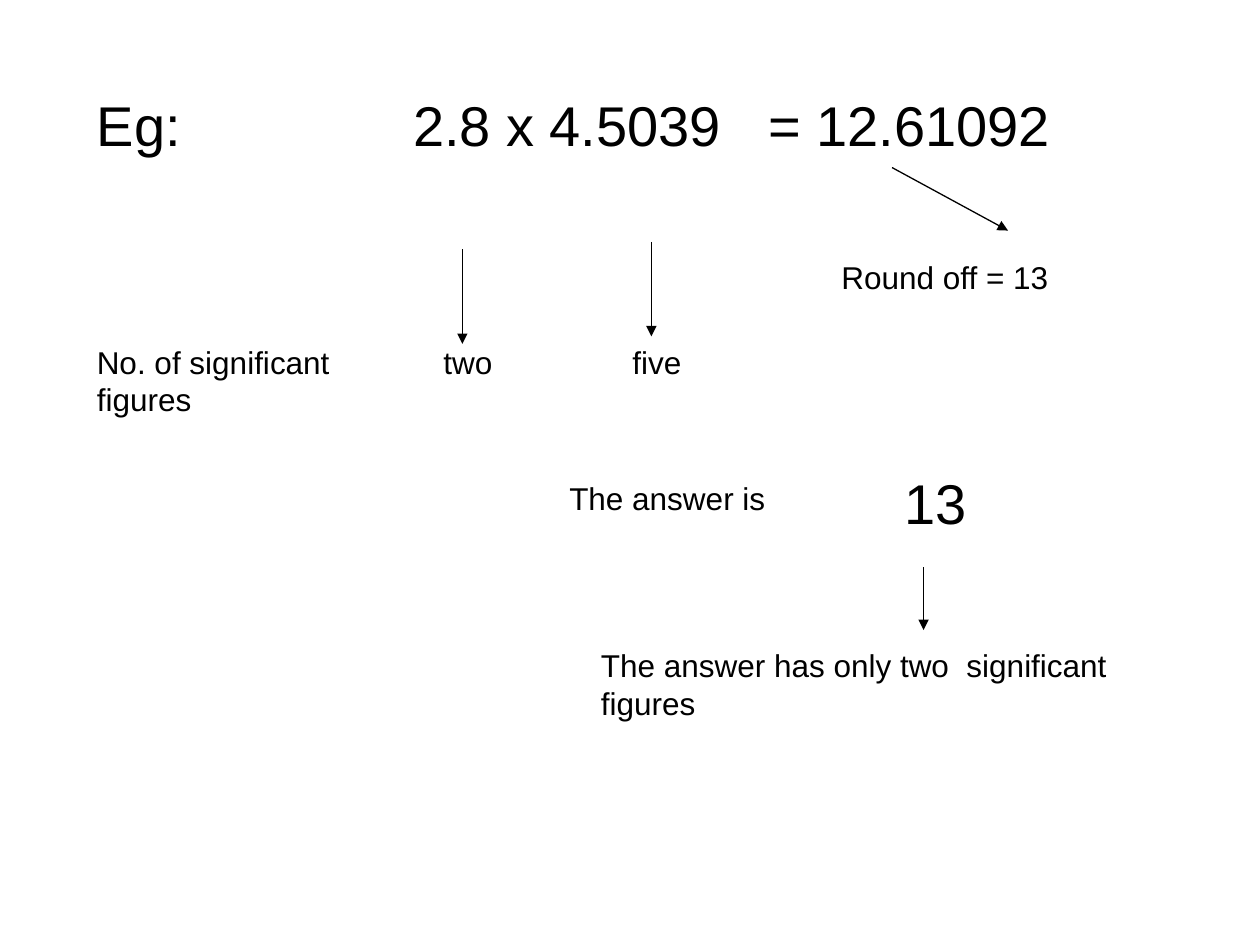
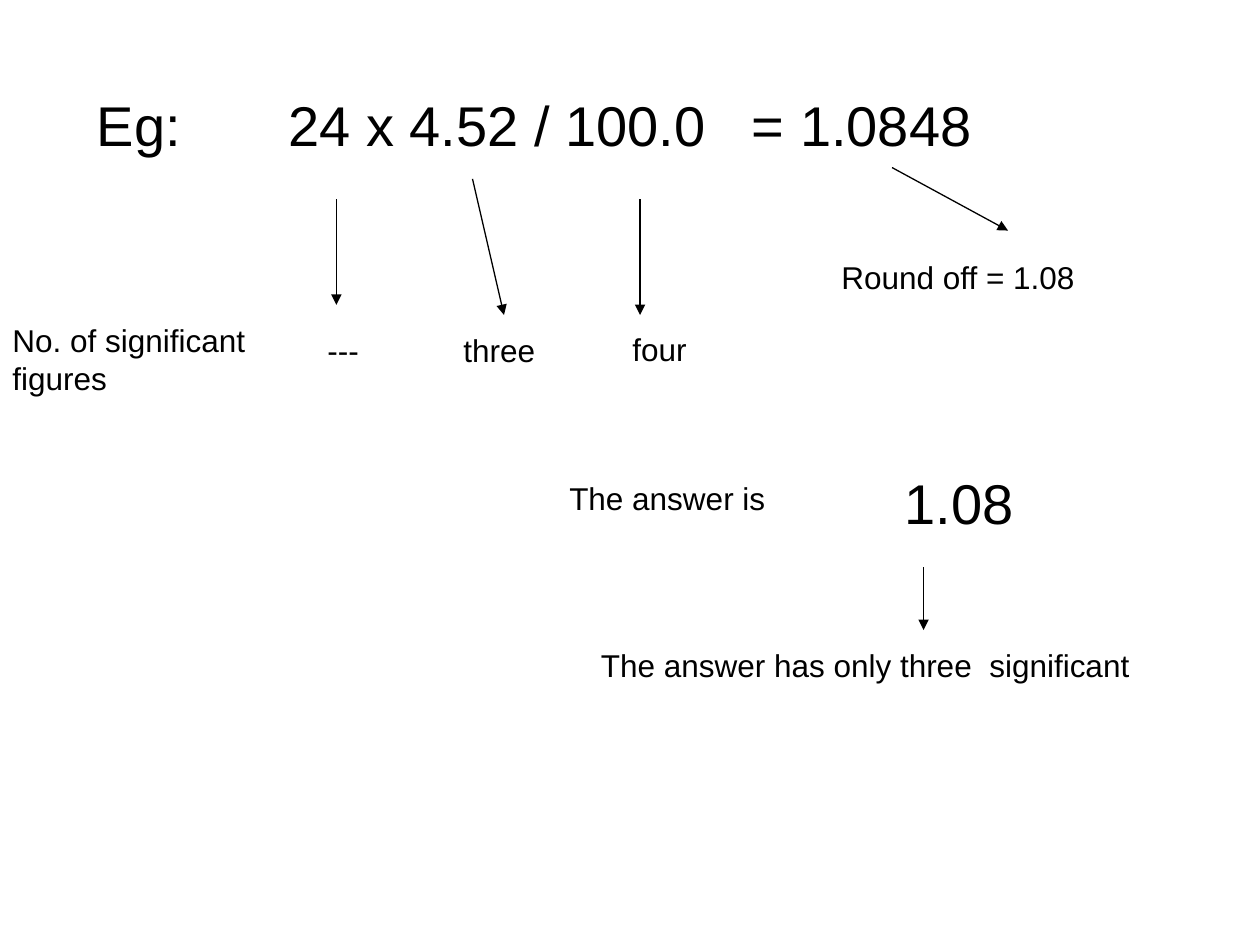
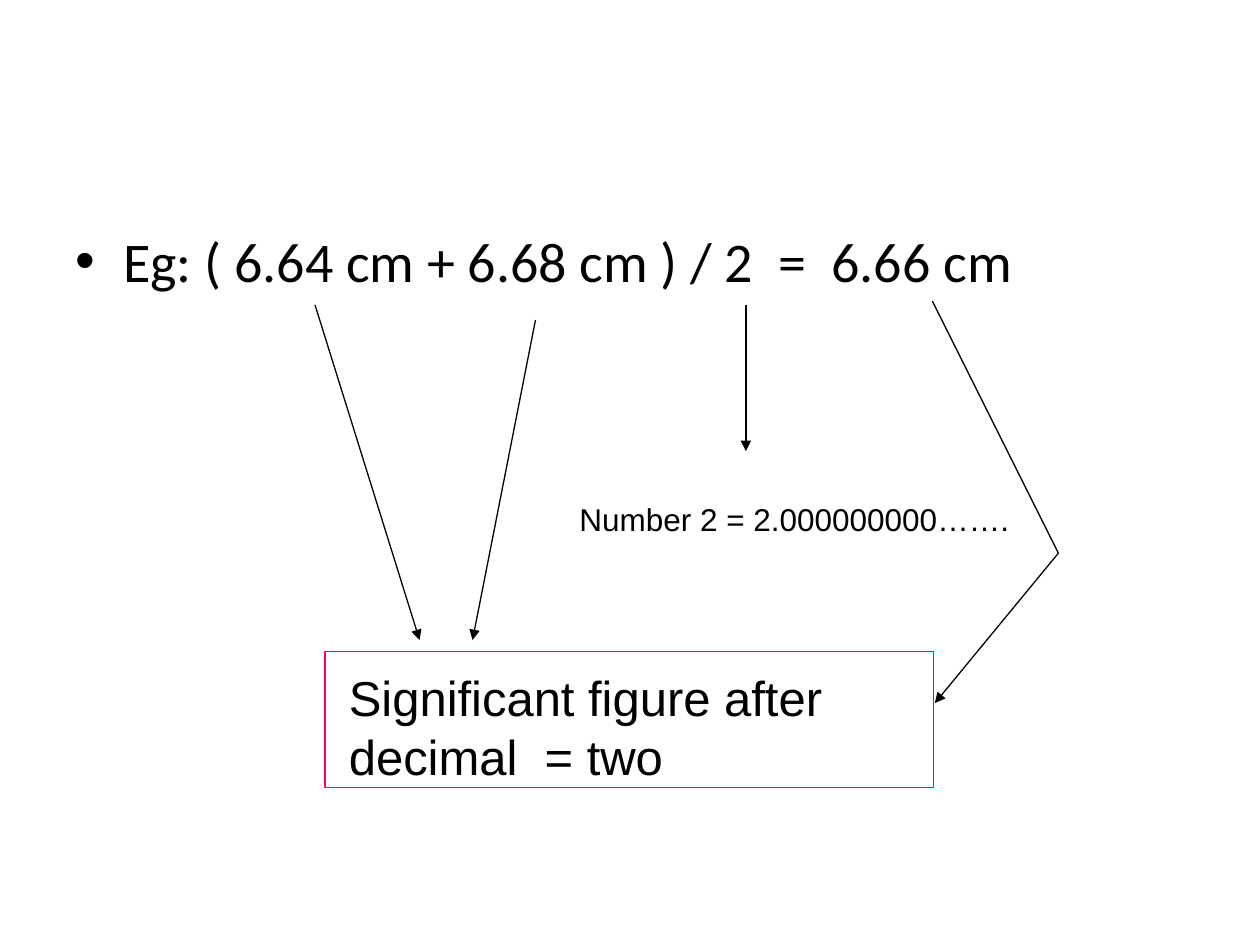
import pptx
import pptx.dml.color
import pptx.enum.shapes
import pptx.enum.text
import pptx.oxml.ns
import pptx.util
from lxml import etree

Inches = pptx.util.Inches
BLACK = pptx.dml.color.RGBColor(0x00, 0x00, 0x00)
PINK = pptx.dml.color.RGBColor(0xFF, 0x00, 0x66)
BODY, LARGE, HEADLINE = 18, 28, 32
LINE_WIDTH = pptx.util.Pt(0.75)


def add_element(parent, tag, **attributes):
    element = etree.SubElement(parent, pptx.oxml.ns.qn(tag))
    for key, value in attributes.items():
        element.set(key, str(value))
    return element


class Lesson:
    """Holds the shared style and the slide being filled."""

    def __init__(self):
        self.deck = pptx.Presentation()
        self.deck.slide_width = Inches(10)
        self.deck.slide_height = Inches(7.5)
        self.slide = None

    def new_slide(self):
        self.slide = self.deck.slides.add_slide(self.deck.slide_layouts[6])

    def text(self, words, left, top, width, height=0.4, size=BODY,
             font="Arial", tabs=(), bullet_indent=None, grow=True):
        box = self.slide.shapes.add_textbox(
            Inches(left), Inches(top), Inches(width), Inches(height))
        frame = box.text_frame
        frame.word_wrap = True
        fit = pptx.enum.text.MSO_AUTO_SIZE
        frame.auto_size = fit.SHAPE_TO_FIT_TEXT if grow else fit.NONE
        paragraph = frame.paragraphs[0]
        properties = paragraph._p.get_or_add_pPr()
        if bullet_indent:
            properties.set("marL", str(Inches(bullet_indent)))
            properties.set("indent", str(-Inches(bullet_indent)))
            add_element(properties, "a:buFont", typeface="Arial")
            add_element(properties, "a:buChar", char="•")
        if tabs:
            stops = add_element(properties, "a:tabLst")
            for stop in tabs:
                add_element(stops, "a:tab", pos=Inches(stop), algn="l")
        run = paragraph.add_run()
        run.text = words
        run.font.name = font
        run.font.size = pptx.util.Pt(size)
        run.font.color.rgb = BLACK

    def line(self, start, end, arrow=True):
        connector = self.slide.shapes.add_connector(
            pptx.enum.shapes.MSO_CONNECTOR.STRAIGHT,
            *map(Inches, (*start, *end)))
        connector.line.color.rgb = BLACK
        connector.line.width = LINE_WIDTH
        if arrow:
            add_element(connector.line._get_or_add_ln(), "a:tailEnd", type="triangle")
        add_element(connector._element.spPr, "a:effectLst")

    def frame(self, left, top, width, height):
        outline = self.slide.shapes.add_shape(
            pptx.enum.shapes.MSO_SHAPE.RECTANGLE,
            Inches(left), Inches(top), Inches(width), Inches(height))
        outline.shadow.inherit = False
        outline.fill.background()
        outline.line.color.rgb = PINK
        outline.line.width = LINE_WIDTH

    def rounding_example(self, equation, tabs, answer, conclusion, label_at, counts):
        """Counts holds (word, left, top, arrow start, arrow end) per factor."""
        self.new_slide()
        self.text(equation, 0.67, 0.67, 9.33, 0.63, HEADLINE, tabs=tabs)
        self.text("No. of significant figures", *label_at, 2.33, 0.7)
        for word, left, top, start, end in counts:
            self.line(start, end)
            self.text(word, left, top, 0.92)
        self.line((7.08, 1.33), (8, 1.83))
        self.text(f"Round off = {answer}", 6.58, 2, 2.33)
        self.text("The answer is", 4.42, 3.75, 2.33)
        self.text(answer, 7.08, 3.67, 2.17, 0.63, HEADLINE)
        self.line((7.33, 4.5), (7.33, 5))
        self.text(conclusion, 4.67, 5.08, 4.42)

    def averaging_example(self):
        self.new_slide()
        self.text("Eg: ( 6.64 cm + 6.68 cm ) / 2  =  6.66 cm", 0.5, 1.75, 9, 4.95,
                  HEADLINE, "Calibri", bullet_indent=0.38, grow=False)
        self.line((5.92, 2.42), (5.92, 3.58))
        self.text("Number 2 = 2.000000000…….", 4.5, 3.92, 3.83)
        self.text("Significant figure after decimal  = two", 2.67, 5.25, 4.92, 1.03, LARGE)
        bend = (8.4, 4.39)
        self.line((7.4, 2.39), bend, arrow=False)
        self.line(bend, (7.42, 5.58))
        self.line((2.5, 2.42), (3.33, 5.08))
        self.line((4.25, 2.54), (3.75, 5.08))
        self.frame(2.58, 5.17, 4.83, 1.08)


def main():
    lesson = Lesson()
    lesson.rounding_example(
        "Eg:\t2.8 x 4.5039\t= 12.61092", (2.51, 5.33), "13",
        "The answer has only two  significant figures", (0.67, 2.67),
        [("two", 3.42, 2.67, (3.67, 1.98), (3.67, 2.73)),
         ("five", 4.92, 2.67, (5.17, 1.92), (5.17, 2.67))])
    lesson.rounding_example(
        "Eg:\t24 x 4.52 / 100.0\t= 1.0848", (1.52, 5.2), "1.08",
        "The answer has only three  significant", (0, 2.5),
        [("---", 2.5, 2.58, (2.67, 1.58), (2.67, 2.42)),
         ("three", 3.58, 2.58, (3.75, 1.42), (4, 2.5)),
         ("four", 4.92, 2.57, (5.08, 1.58), (5.08, 2.5))])
    lesson.averaging_example()
    lesson.deck.save("out.pptx")


if __name__ == "__main__":
    main()
